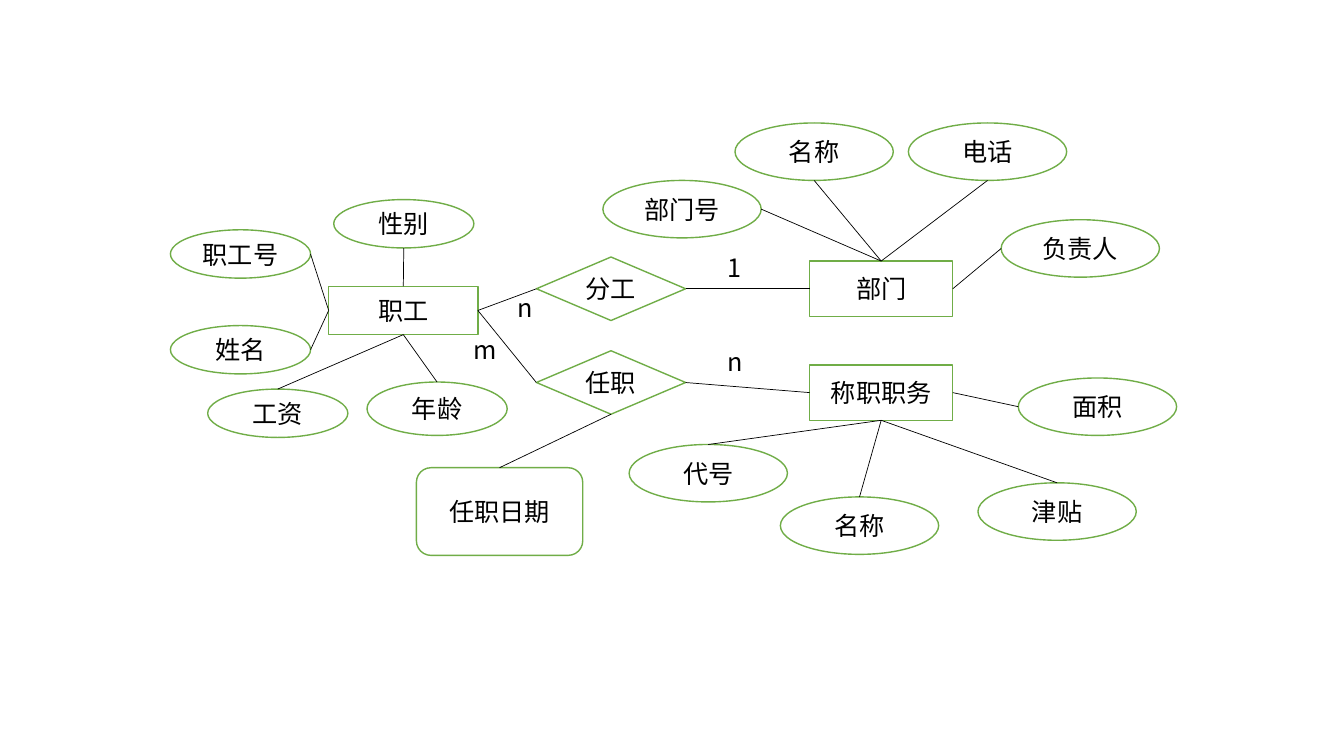
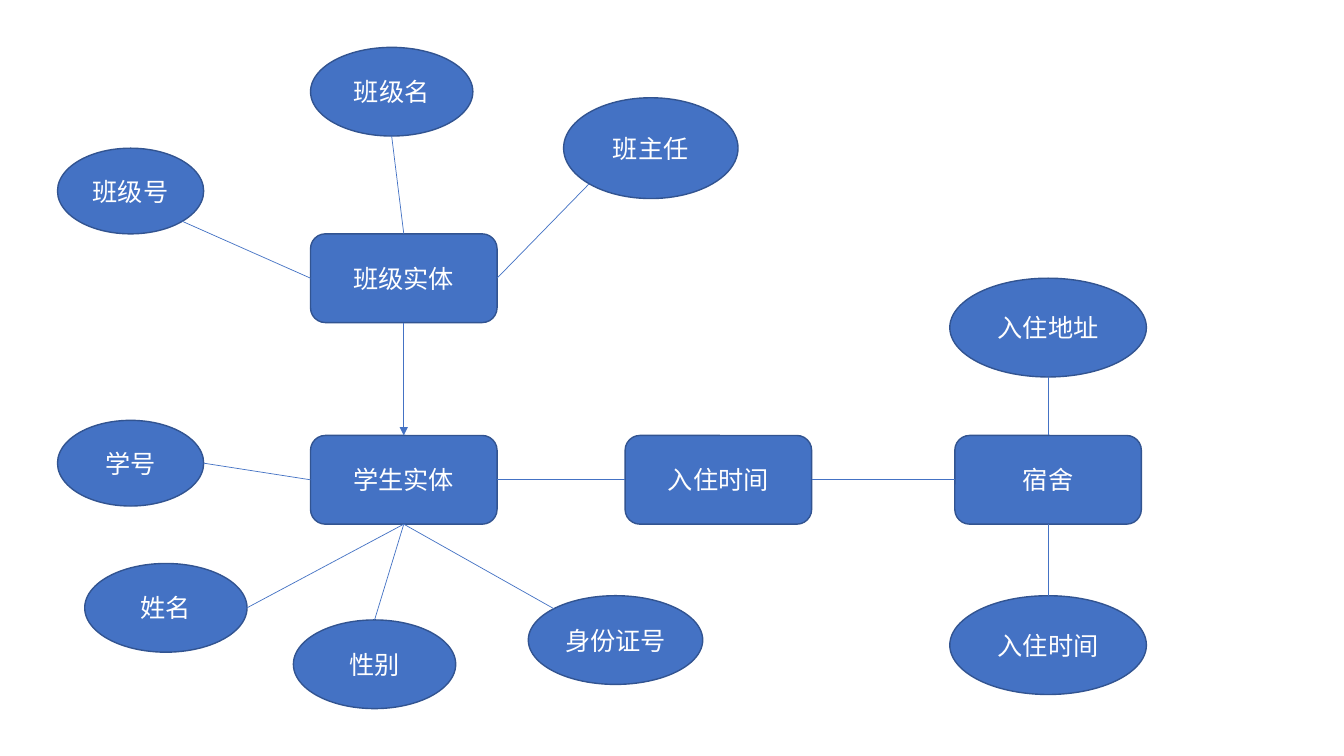
from dataclasses import dataclass
from math import cos, pi, sin

from lxml.etree import SubElement
from pptx import Presentation
from pptx.dml.color import RGBColor
from pptx.enum.shapes import MSO_CONNECTOR, MSO_SHAPE
from pptx.enum.text import MSO_ANCHOR, MSO_AUTO_SIZE, PP_ALIGN
from pptx.oxml.ns import qn
from pptx.util import Inches, Pt


@dataclass(frozen=True)
class Theme:
    """Colours, type and line widths of a diagram."""
    fill: str
    outline: str
    link: str
    text: str
    font: str = "Noto Sans CJK SC"
    text_size: int = 18
    outline_width: float = 1
    link_width: float = 0.5


OUTLINED = Theme("FFFFFF", "70AD47", "000000", "000000")
FILLED = Theme("4472C4", "325491", "4472C4", "FFFFFF")

# Kind of node: preset shape, width, height
KINDS = {
    "staff": (MSO_SHAPE.RECTANGLE, 1.48, 0.48),
    "staff field": (MSO_SHAPE.OVAL, 1.39, 0.48),
    "tall staff field": (MSO_SHAPE.OVAL, 1.39, 0.53),
    "relation": (MSO_SHAPE.FLOWCHART_DECISION, 1.48, 0.63),
    "date": (MSO_SHAPE.ROUNDED_RECTANGLE, 1.65, 0.87),
    "unit": (MSO_SHAPE.RECTANGLE, 1.42, 0.55),
    "unit field": (MSO_SHAPE.OVAL, 1.57, 0.57),
    "entity": (MSO_SHAPE.ROUNDED_RECTANGLE, 1.85, 0.88),
    "number": (MSO_SHAPE.OVAL, 1.45, 0.85),
    "name": (MSO_SHAPE.OVAL, 1.61, 0.88),
    "identity": (MSO_SHAPE.OVAL, 1.73, 0.88),
    "teacher": (MSO_SHAPE.OVAL, 1.73, 1),
    "stay": (MSO_SHAPE.OVAL, 1.95, 0.98),
}

# Nodes: key -> (text, kind, left, top)
# Links: (from key, side, to key, side, has arrowhead)
STAFF = {
    "theme": OUTLINED,
    "nodes": {
        "staff": ("职工", "staff", 3.26, 2.84),
        "staff number": ("职工号", "staff field", 1.69, 2.28),
        "gender": ("性别", "staff field", 3.31, 1.98),
        "salary": ("工资", "staff field", 2.06, 3.86),
        "staff name": ("姓名", "staff field", 1.69, 3.23),
        "age": ("年龄", "tall staff field", 3.64, 3.79),
        "division": ("分工", "relation", 5.32, 2.55),
        "appointment": ("任职", "relation", 5.32, 3.48),
        "date": ("任职日期", "date", 4.13, 4.64),
        "department": ("部门", "unit", 8.03, 2.59),
        "post": ("称职职务", "unit", 8.03, 3.62),
        "department number": ("部门号", "unit field", 5.98, 1.79),
        "head": ("负责人", "unit field", 9.93, 2.18),
        "phone": ("电话", "unit field", 9.01, 1.22),
        "department name": ("名称", "unit field", 7.29, 1.22),
        "code": ("代号", "unit field", 6.24, 4.41),
        "area": ("面积", "unit field", 10.1, 3.75),
        "allowance": ("津贴", "unit field", 9.7, 4.79),
        "post name": ("名称", "unit field", 7.74, 4.93),
    },
    "links": [
        ("staff number", "right", "staff", "left", False),
        ("staff name", "right", "staff", "left", False),
        ("gender", "bottom", "staff", "top", False),
        ("age", "top", "staff", "bottom", False),
        ("staff", "bottom", "salary", "top", False),
        ("division", "left", "staff", "right", False),
        ("staff", "right", "appointment", "left", False),
        ("appointment", "bottom", "date", "top", False),
        ("division", "right", "department", "left", False),
        ("appointment", "right", "post", "left", False),
        ("department", "top", "department number", "right", False),
        ("department name", "bottom", "department", "top", False),
        ("phone", "bottom", "department", "top", False),
        ("department", "right", "head", "left", False),
        ("code", "top", "post", "bottom", False),
        ("post name", "top", "post", "bottom", False),
        ("post", "bottom", "allowance", "top", False),
        ("post", "right", "area", "left", False),
    ],
    # Text, left, top, width
    "labels": [
        ("m", 4.6, 3.27, 0.36),
        ("1", 7.12, 2.45, 0.43),
        ("n", 5.03, 2.85, 0.37),
        ("n", 7.12, 3.39, 0.43),
    ],
}

SCHOOL = {
    "theme": FILLED,
    "nodes": {
        "class": ("班级实体", "entity", 3.08, 2.32),
        "class number": ("班级号", "number", 0.57, 1.47),
        "class name": ("班级名", "name", 3.08, 0.47),
        "teacher": ("班主任", "teacher", 5.59, 0.97),
        "student": ("学生实体", "entity", 3.08, 4.32),
        "student number": ("学号", "number", 0.57, 4.17),
        "student name": ("姓名", "name", 0.84, 5.59),
        "gender": ("性别", "name", 2.91, 6.15),
        "identity": ("身份证号", "identity", 5.24, 5.91),
        "move-in": ("入住时间", "entity", 6.2, 4.32),
        "dormitory": ("宿舍", "entity", 9.47, 4.32),
        "stay time": ("入住时间", "stay", 9.42, 5.91),
        "stay address": ("入住地址", "stay", 9.42, 2.76),
    },
    "links": [
        ("teacher", "bottom left", "class", "right", False),
        ("class number", "bottom right", "class", "left", False),
        ("class name", "bottom", "class", "top", False),
        ("class", "bottom", "student", "top", True),
        ("student", "left", "student number", "right", False),
        ("student", "bottom", "student name", "right", False),
        ("student", "bottom", "gender", "top", False),
        ("student", "bottom", "identity", "top left", False),
        ("student", "right", "move-in", "left", False),
        ("move-in", "right", "dormitory", "left", False),
        ("dormitory", "bottom", "stay time", "top", False),
        ("stay address", "bottom", "dormitory", "top", False),
    ],
    "labels": [],
}

# Counter-clockwise from the top, an eighth of a turn each
SIDES = ["top", "top left", "left", "bottom left",
         "bottom", "bottom right", "right", "top right"]
LABEL_HEIGHT = 0.4


def write(frame, text, theme, align):
    """Write one styled run into a text frame."""
    frame.word_wrap = True
    para = frame.paragraphs[0]
    para.alignment = align
    span = para.add_run()
    span.text = text
    span.font.name = theme.font
    span.font.size = Pt(theme.text_size)
    span.font.color.rgb = RGBColor.from_string(theme.text)
    east_asian = SubElement(span.font._element, qn("a:ea"))
    east_asian.set("typeface", theme.font)


def add_node(page, theme, text, kind, left, top):
    """Draw one entity, relation or attribute."""
    preset, width, height = KINDS[kind]
    box = page.shapes.add_shape(
        preset, Inches(left), Inches(top), Inches(width), Inches(height))
    box.shadow.inherit = False
    box.fill.solid()
    box.fill.fore_color.rgb = RGBColor.from_string(theme.fill)
    box.line.color.rgb = RGBColor.from_string(theme.outline)
    box.line.width = Pt(theme.outline_width)
    box.text_frame.vertical_anchor = MSO_ANCHOR.MIDDLE
    write(box.text_frame, text, theme, PP_ALIGN.CENTER)
    return box


def side_point(box, side):
    """Return the point on the outline of a node at the named side."""
    angle = SIDES.index(side) * pi / 4
    across = box.left + box.width / 2 * (1 - sin(angle))
    down = box.top + box.height / 2 * (1 - cos(angle))
    return round(across), round(down)


def glue(line, tag, box, side):
    """Attach one end of a connector to the site of a node."""
    site = SIDES.index(side)
    if box.auto_shape_type != MSO_SHAPE.OVAL:
        site //= 2  # other presets have four sites
    properties = line._element.find(".//" + qn("p:cNvCxnSpPr"))
    end = SubElement(properties, qn(tag))
    end.set("id", str(box.shape_id))
    end.set("idx", str(site))


def add_link(page, theme, start, start_side, finish, finish_side, arrow):
    """Join two nodes with a straight connector."""
    line = page.shapes.add_connector(
        MSO_CONNECTOR.STRAIGHT,
        *side_point(start, start_side), *side_point(finish, finish_side))
    glue(line, "a:stCxn", start, start_side)
    glue(line, "a:endCxn", finish, finish_side)
    line.line.color.rgb = RGBColor.from_string(theme.link)
    line.line.width = Pt(theme.link_width)
    if arrow:
        SubElement(line.line._get_or_add_ln(), qn("a:tailEnd")).set("type", "triangle")
    SubElement(line._element.spPr, qn("a:effectLst"))


def add_label(page, theme, text, left, top, width):
    """Write the cardinality beside a link."""
    box = page.shapes.add_textbox(
        Inches(left), Inches(top), Inches(width), Inches(LABEL_HEIGHT))
    box.text_frame.auto_size = MSO_AUTO_SIZE.SHAPE_TO_FIT_TEXT
    write(box.text_frame, text, theme, PP_ALIGN.LEFT)


def add_diagram(deck, diagram):
    """Add a blank page and draw an entity-relationship diagram on it."""
    page = deck.slides.add_slide(deck.slide_layouts.get_by_name("Blank"))
    theme = diagram["theme"]
    boxes = {key: add_node(page, theme, *node)
             for key, node in diagram["nodes"].items()}
    for start, start_side, finish, finish_side, arrow in diagram["links"]:
        add_link(page, theme, boxes[start], start_side,
                 boxes[finish], finish_side, arrow)
    for label in diagram["labels"]:
        add_label(page, theme, *label)


deck = Presentation()
deck.slide_width, deck.slide_height = Inches(13.33), Inches(7.5)
for diagram in (STAFF, SCHOOL):
    add_diagram(deck, diagram)
deck.save("out.pptx")
